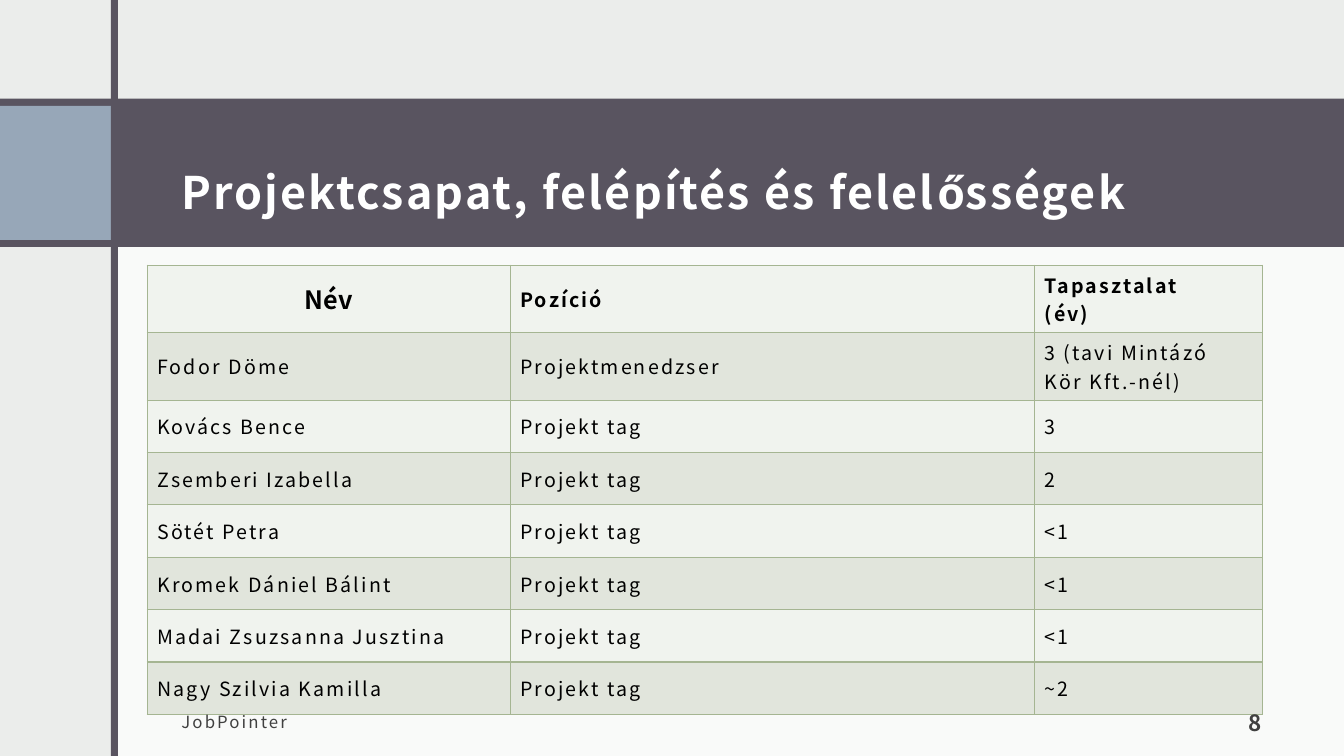
"""Build the project team slide with its table of members and experience."""
import dataclasses

import lxml.etree
import pptx
import pptx.dml.color
import pptx.enum.shapes
import pptx.enum.text
import pptx.oxml.ns
import pptx.util

Inches = pptx.util.Inches
Align = pptx.enum.text.PP_ALIGN
Anchor = pptx.enum.text.MSO_ANCHOR


@dataclasses.dataclass(frozen=True)
class Theme:
    """Colours, type sizes and font of the slide."""
    font: str = "Noto Sans CJK JP"
    background: str = "EBEDEB"
    white: str = "FFFFFF"
    dark: str = "595460"
    accent: str = "97A7B8"
    border: str = "A5B592"
    bands: tuple = ("F0F3EE", "E1E5DC")
    text: str = "000000"
    footer: str = "404040"
    title_size: int = 32
    name_size: int = 18
    number_size: int = 16
    body_size: int = 14
    footer_size: int = 12
    tracking: float = 1.5


THEME = Theme()
COLUMN_WIDTHS = (3.6, 5.2, 2.26)
HEADER = ("Név", "Pozíció", "Tapasztalat\n(év)")
MEMBERS = (
    ("Fodor Döme", "Projektmenedzser", "3 (tavi Mintázó Kör Kft.-nél)"),
    ("Kovács Bence", "Projekt tag", "3"),
    ("Zsemberi Izabella", "Projekt tag", "2"),
    ("Sötét Petra", "Projekt tag", "<1"),
    ("Kromek Dániel Bálint", "Projekt tag", "<1"),
    ("Madai Zsuzsanna Jusztina", "Projekt tag", "<1"),
    ("Nagy Szilvia Kamilla", "Projekt tag", "~2"),
)
ROW_HEIGHTS = (0.67,) * 2 + (0.52,) * 6


def rgb(colour):
    """Turn a hex string into a colour."""
    return pptx.dml.color.RGBColor.from_string(colour)


def add_child(parent, tag, **attributes):
    """Append a drawing element with the given attributes."""
    child = lxml.etree.SubElement(parent, pptx.oxml.ns.qn(tag))
    for name, value in attributes.items():
        child.set(name, str(value))
    return child


def add_panel(slide, left, top, width, height, colour, opacity=100):
    """Add a plain rectangle without outline."""
    shape = slide.shapes.add_shape(
        pptx.enum.shapes.MSO_SHAPE.RECTANGLE,
        Inches(left), Inches(top), Inches(width), Inches(height))
    shape.shadow.inherit = False
    shape.line.fill.background()
    shape.fill.solid()
    shape.fill.fore_color.rgb = rgb(colour)
    if opacity < 100:
        fill = shape._element.spPr.find(pptx.oxml.ns.qn("a:solidFill"))
        add_child(fill[0], "a:alpha", val=opacity * 1000)


def style_text(frame, size, colour, bold=False, align=Align.LEFT,
               tracking=THEME.tracking, line_spacing=None):
    """Format every paragraph of a text frame alike."""
    for paragraph in frame.paragraphs:
        paragraph.alignment = align
        if line_spacing:
            paragraph.line_spacing = line_spacing
        font = paragraph.font
        font.name = THEME.font
        font.size = pptx.util.Pt(size)
        font.bold = bold
        font.color.rgb = rgb(colour)
        font._rPr.set("spc", str(int(tracking * 100)))


def add_text(slide, left, top, width, height, text, anchor, size, colour, **style):
    """Add a wrapped text box."""
    box = slide.shapes.add_textbox(
        Inches(left), Inches(top), Inches(width), Inches(height))
    frame = box.text_frame
    frame.word_wrap = True
    frame.vertical_anchor = anchor
    frame.margin_left = frame.margin_right = frame.margin_top = Inches(0.12)
    frame.margin_bottom = Inches(0.1)
    frame.text = text
    style_text(frame, size, colour, **style)


def set_borders(cell):
    """Draw a thin border on all four sides of a cell."""
    properties = cell._tc.get_or_add_tcPr()
    for position, side in enumerate(("a:lnL", "a:lnR", "a:lnT", "a:lnB")):
        line = add_child(properties, side, w=pptx.util.Pt(1))
        add_child(add_child(line, "a:solidFill"), "a:srgbClr", val=THEME.border)
        properties.insert(position, line)


def add_team_table(slide, left, top):
    """Add the banded table of team members."""
    rows = (HEADER,) + MEMBERS
    table = slide.shapes.add_table(
        len(rows), len(COLUMN_WIDTHS), Inches(left), Inches(top),
        Inches(sum(COLUMN_WIDTHS)), Inches(sum(ROW_HEIGHTS))).table
    table.first_row = table.horz_banding = False
    for column, width in zip(table.columns, COLUMN_WIDTHS):
        column.width = Inches(width)
    for row_index, texts in enumerate(rows):
        table.rows[row_index].height = Inches(ROW_HEIGHTS[row_index])
        for column_index, text in enumerate(texts):
            cell = table.cell(row_index, column_index)
            cell.text = text
            cell.vertical_anchor = Anchor.MIDDLE
            cell.fill.solid()
            cell.fill.fore_color.rgb = rgb(THEME.bands[row_index % 2])
            set_borders(cell)
            style_text(cell.text_frame, THEME.body_size, THEME.text,
                       bold=row_index == 0)
    style_text(table.cell(0, 0).text_frame, THEME.name_size, THEME.text,
               bold=True, align=Align.CENTER, tracking=0)


def main():
    """Build and save the slide."""
    presentation = pptx.Presentation()
    presentation.slide_width = Inches(13.33)
    presentation.slide_height = Inches(7.5)
    slide = presentation.slides.add_slide(presentation.slide_layouts[6])
    slide.background.fill.solid()
    slide.background.fill.fore_color.rgb = rgb(THEME.background)

    add_panel(slide, 1.14, 2.33, 12.19, 5.17, THEME.white, opacity=75)
    add_panel(slide, 0, 0.98, 13.33, 1.47, THEME.dark)
    add_panel(slide, 0, 1.05, 1.1, 1.33, THEME.accent)
    add_panel(slide, 1.1, 0, 0.07, 7.5, THEME.dark)
    add_text(slide, 1.68, 1.05, 10.95, 1.22,
             "Projektcsapat, felépítés és felelősségek", Anchor.BOTTOM,
             THEME.title_size, THEME.white, bold=True, line_spacing=1.5)
    add_team_table(slide, 1.46, 2.63)
    add_text(slide, 1.68, 6.9, 6.27, 0.5, "JobPointer", Anchor.MIDDLE,
             THEME.footer_size, THEME.footer)
    add_text(slide, 11.56, 6.9, 1.07, 0.5, "8", Anchor.BOTTOM,
             THEME.number_size, THEME.footer, bold=True, align=Align.RIGHT)
    presentation.save("out.pptx")


if __name__ == "__main__":
    main()
